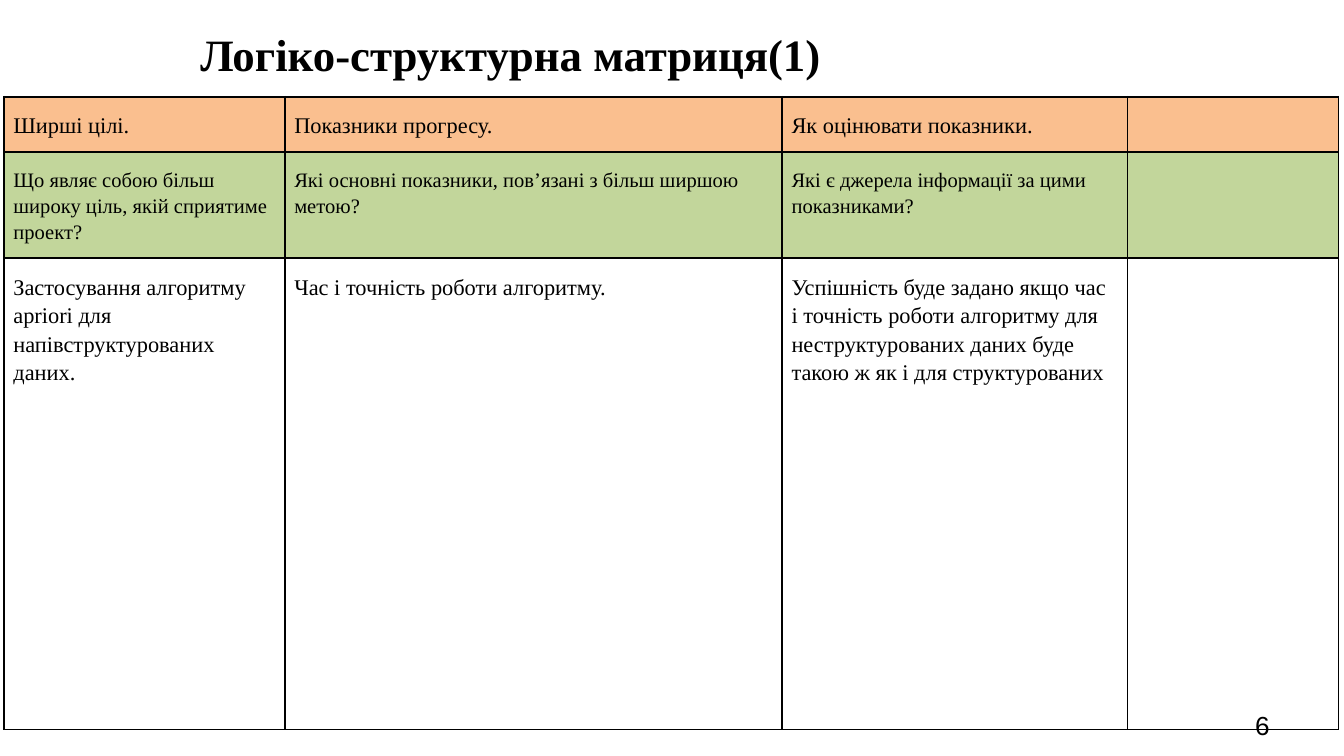
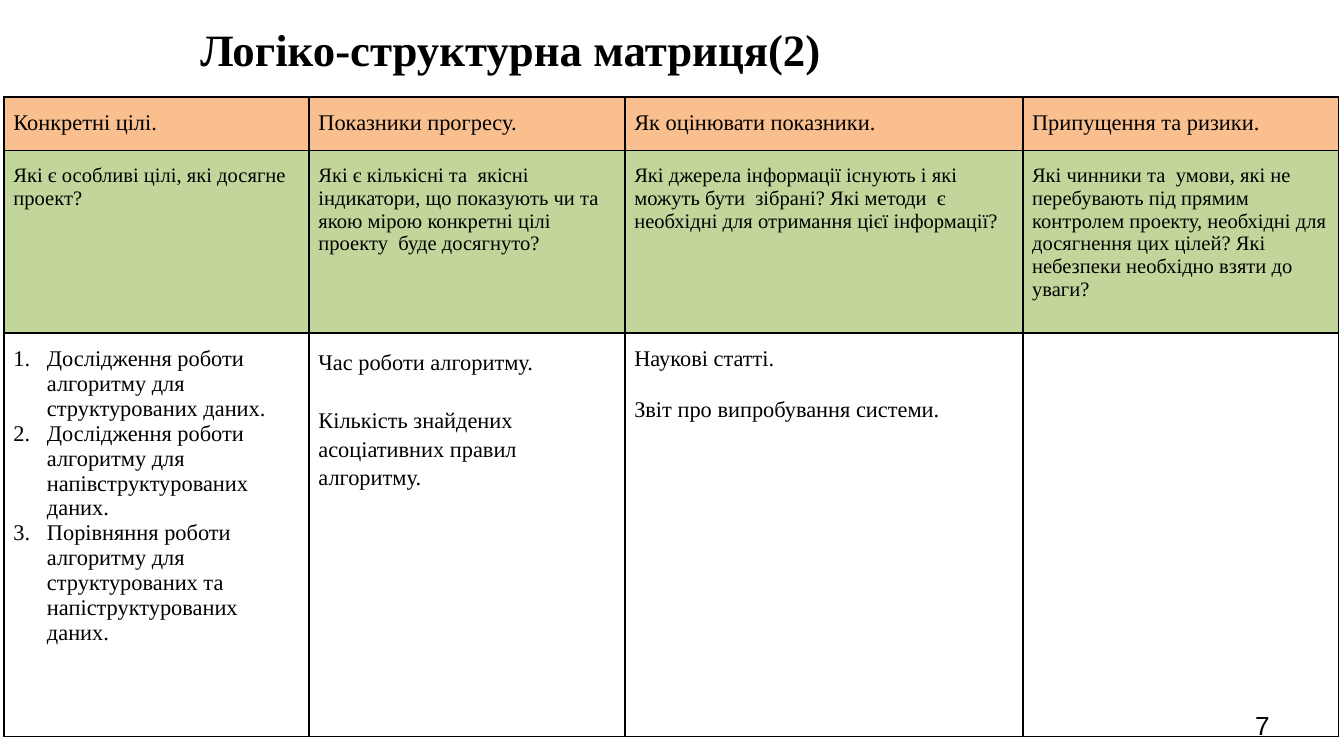
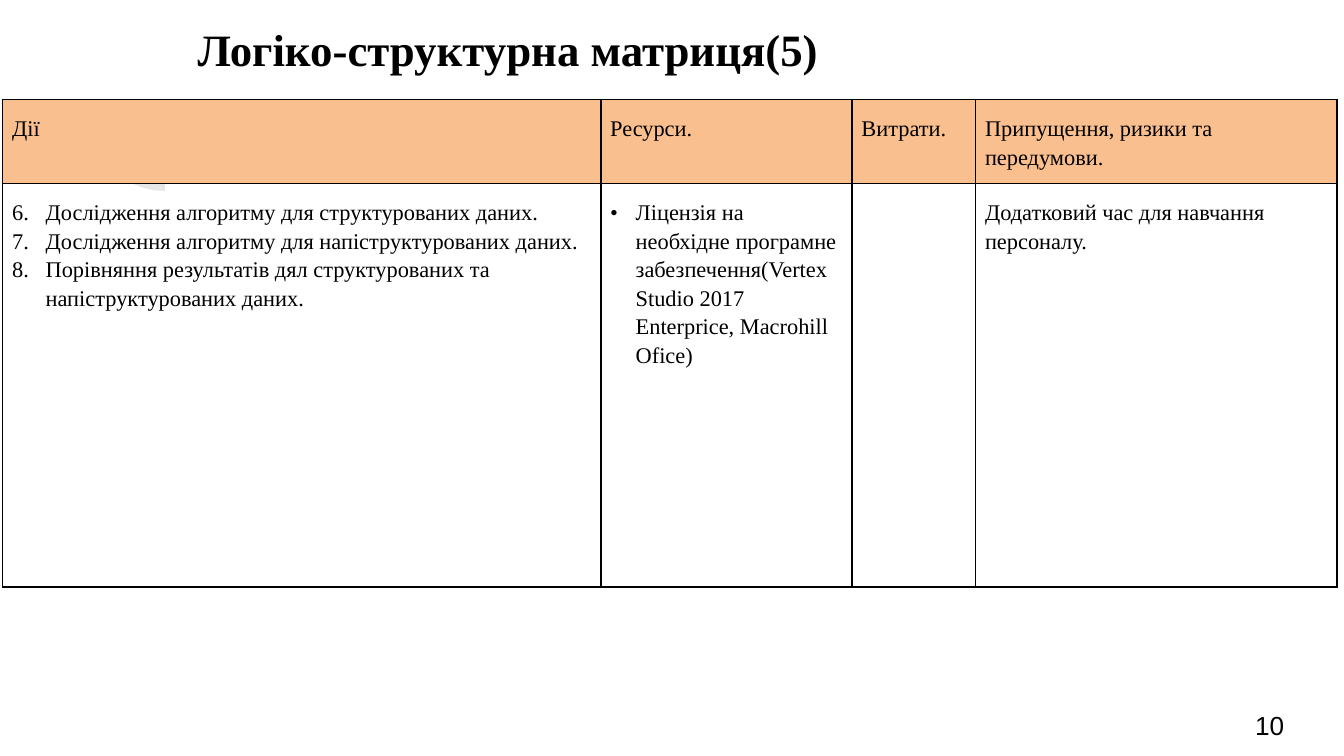
from dataclasses import dataclass

from lxml.etree import SubElement
from pptx import Presentation
from pptx.dml.color import RGBColor
from pptx.enum.shapes import MSO_SHAPE as Shape
from pptx.enum.text import MSO_ANCHOR as Anchor, MSO_AUTO_SIZE as AutoSize, PP_ALIGN as Align
from pptx.oxml.ns import qn
from pptx.util import Inches, Pt

BLACK = RGBColor(0x00, 0x00, 0x00)
GREY = RGBColor(0x42, 0x42, 0x42)
ORANGE = RGBColor(0xFA, 0xBF, 0x8F)
GREEN = RGBColor(0xC2, 0xD6, 0x9B)
SERIF, SANS = "Times New Roman", "Arial"
PIES = [(0.91, 0.55, 0.65), (0.68, 0.33, 1.09)]  # left, top, size


@dataclass
class Cell:
    paragraphs: list
    marker: str = ""  # "number" or "bullet"
    start: int = 1
    gap: int = 0  # points between paragraphs
    spacing: float = 0  # replaces the line spacing of the slide


# Content
MATRICES = [
    {
        "title": "Логіко-структурна матриця(1)", "number": "6",
        "title_left": 1.39, "title_spacing": 1.15, "spacing": 1.15,
        "corner": (0.03, 0.72),
        "columns": [2.09, 3.7, 2.57, 1.57], "heights": [0.38, 0.73, 3.51],
        "rows": [
            ["Ширші цілі.", "Показники прогресу.", "Як оцінювати показники.", ""],
            ["Що являє собою більш широку ціль, якій сприятиме проект?",
             "Які основні показники, пов’язані з більш ширшою метою?",
             "Які є джерела інформації за цими показниками?", ""],
            ["Застосування алгоритму apriori для напівструктурованих даних.",
             "Час і точність роботи алгоритму.",
             "Успішність буде задано якщо час і точність роботи алгоритму для "
             "неструктурованих даних буде такою ж як і для структурованих", ""],
        ],
    },
    {
        "title": "Логіко-структурна матриця(2)", "number": "7",
        "title_left": 1.39, "title_spacing": 1.0, "spacing": 1.0,
        "corner": (0.03, 0.72),
        "columns": [2.27, 2.35, 2.96, 2.35], "heights": [0.4, 1.36, 3],
        "rows": [
            ["Конкретні цілі.", "Показники прогресу.", "Як оцінювати показники.",
             "Припущення та ризики."],
            ["Які є особливі цілі, які досягне проект?",
             "Які є кількісні та  якісні індикатори, що показують чи та якою мірою "
             "конкретні цілі проекту  буде досягнуто?",
             "Які джерела інформації існують і які можуть бути  зібрані? Які методи  є "
             "необхідні для отримання цієї інформації?",
             "Які чинники та  умови, які не перебувають під прямим контролем проекту, "
             "необхідні для досягнення цих цілей? Які небезпеки необхідно взяти до уваги?"],
            [Cell(["Дослідження роботи алгоритму для структурованих даних.",
                   "Дослідження роботи алгоритму для напівструктурованих даних.",
                   "Порівняння роботи алгоритму для структурованих та "
                   "напіструктурованих даних."], marker="number"),
             Cell(["Час роботи алгоритму.",
                   "Кількість знайдених асоціативних правил алгоритму."],
                  gap=16, spacing=1.15),
             Cell(["Наукові статті.", "Звіт про випробування системи."], gap=14), ""],
        ],
    },
    {
        "title": "Логіко-структурна матриця(5)", "number": "10",
        "title_left": 1.37, "title_spacing": 1.0, "spacing": 1.15,
        "corner": (0.02, 0.74),
        "columns": [4.45, 1.87, 0.92, 2.69], "heights": [0.62, 3],
        "rows": [
            ["Дії", "Ресурси.", "Витрати.", "Припущення, ризики та передумови."],
            [Cell(["Дослідження алгоритму для структурованих даних.",
                   "Дослідження алгоритму для напіструктурованих даних.",
                   "Порівняння результатів дял структурованих та напіструктурованих даних."],
                  marker="number", start=6),
             Cell(["Ліцензія на необхідне програмне забезпечення(Vertex Studio 2017 "
                   "Enterprice, Macrohill Ofice)"], marker="bullet"),
             "", "Додатковий час для навчання персоналу."],
        ],
    },
]


def add_run(paragraph, text, size, font=SERIF, bold=False):
    run = paragraph.add_run()
    run.text = text
    run.font.name, run.font.size, run.font.bold = font, Pt(size), bold
    run.font.color.rgb = BLACK


def set_frame(frame):
    frame.word_wrap = True
    frame.auto_size = AutoSize.NONE
    frame.vertical_anchor = Anchor.MIDDLE
    frame.margin_left = frame.margin_right = Inches(0.1)
    frame.margin_top = frame.margin_bottom = Inches(0.1)


def set_marker(paragraph, cell):
    properties = paragraph._p.get_or_add_pPr()
    indent = Inches(0.25 if cell.marker == "number" else 0.19)
    properties.set("marL", str(indent))
    properties.set("indent", str(-indent))
    SubElement(properties, qn("a:buFont"), typeface=SERIF)
    if cell.marker == "number":
        SubElement(properties, qn("a:buAutoNum"), type="arabicPeriod", startAt=str(cell.start))
    else:
        SubElement(properties, qn("a:buChar"), char="•")


def set_borders(table_cell):
    properties = table_cell._tc.get_or_add_tcPr()
    for side in ("a:lnL", "a:lnR", "a:lnT", "a:lnB"):
        line = SubElement(properties, qn(side), w=str(Pt(1)))
        fill = SubElement(line, qn("a:solidFill"))
        SubElement(fill, qn("a:srgbClr"), val=str(BLACK))


def fill_cell(table_cell, content, size, spacing, color):
    cell = content if isinstance(content, Cell) else Cell([content])
    table_cell.margin_left = table_cell.margin_right = Inches(0.07)
    table_cell.margin_top = table_cell.margin_bottom = Inches(0.1)
    set_borders(table_cell)
    if color is None:
        table_cell.fill.background()
    else:
        table_cell.fill.solid()
        table_cell.fill.fore_color.rgb = color
    frame = table_cell.text_frame
    for index, text in enumerate(cell.paragraphs):
        paragraph = frame.add_paragraph() if index else frame.paragraphs[0]
        paragraph.line_spacing = cell.spacing or spacing
        if index:
            paragraph.space_before = Pt(cell.gap)
        if cell.marker:
            set_marker(paragraph, cell)
        if text:
            add_run(paragraph, text, size)
        else:  # keeps an empty cell from stretching its row
            SubElement(paragraph._p, qn("a:endParaRPr"), sz=str(size * 100))


def add_matrix(slide, matrix):
    rows, columns, heights = matrix["rows"], matrix["columns"], matrix["heights"]
    left, top = matrix["corner"]
    table = slide.shapes.add_table(
        len(rows), len(columns), Inches(left), Inches(top),
        Inches(sum(columns)), Inches(sum(heights))).table
    table.first_row = table.horz_banding = False
    for column, width in zip(table.columns, columns):
        column.width = Inches(width)
    for index, (contents, height) in enumerate(zip(rows, heights)):
        table.rows[index].height = Inches(height)
        # header row, question row, answer row
        if index == 0:
            color, size = ORANGE, 12
        elif index < len(rows) - 1:
            color, size = GREEN, 11
        else:
            color, size = None, 12
        for position, content in enumerate(contents):
            fill_cell(table.cell(index, position), content, size, matrix["spacing"], color)


def move_pies_to_layout(slide):
    for left, top, size in PIES:
        pie = slide.shapes.add_shape(
            Shape.PIE, Inches(left), Inches(top), Inches(size), Inches(size))
        pie.adjustments[0], pie.adjustments[1] = 107.928, 162
        pie.rotation = 270
        pie.shadow.inherit = False
        pie.line.fill.background()
        pie.fill.solid()
        pie.fill.fore_color.rgb = GREY
        color = pie._element.spPr.find(".//" + qn("a:srgbClr"))
        SubElement(color, qn("a:alpha"), val="13000")
        slide.slide_layout.shapes._spTree.append(pie._element)


def add_title(slide, matrix):
    title = slide.shapes.title
    title.left, title.top = Inches(matrix["title_left"]), Inches(0.03)
    title.width, title.height = Inches(7.69), Inches(0.67)
    set_frame(title.text_frame)
    paragraph = title.text_frame.paragraphs[0]
    paragraph.alignment = Align.LEFT
    paragraph.line_spacing = matrix["title_spacing"]
    add_run(paragraph, matrix["title"], 24, bold=True)


def add_number(slide, number):
    box = slide.shapes.add_textbox(Inches(9.24), Inches(5.18), Inches(0.6), Inches(0.43))
    set_frame(box.text_frame)
    add_run(box.text_frame.paragraphs[0], number, 14, SANS)


def main():
    presentation = Presentation()
    presentation.slide_width = Inches(10)
    presentation.slide_height = presentation.slide_width * 9 // 16
    layout = presentation.slide_layouts[5]
    for index, matrix in enumerate(MATRICES):
        slide = presentation.slides.add_slide(layout)
        if index == 0:
            move_pies_to_layout(slide)
        add_title(slide, matrix)
        add_number(slide, matrix["number"])
        add_matrix(slide, matrix)
    presentation.save("out.pptx")


if __name__ == "__main__":
    main()
